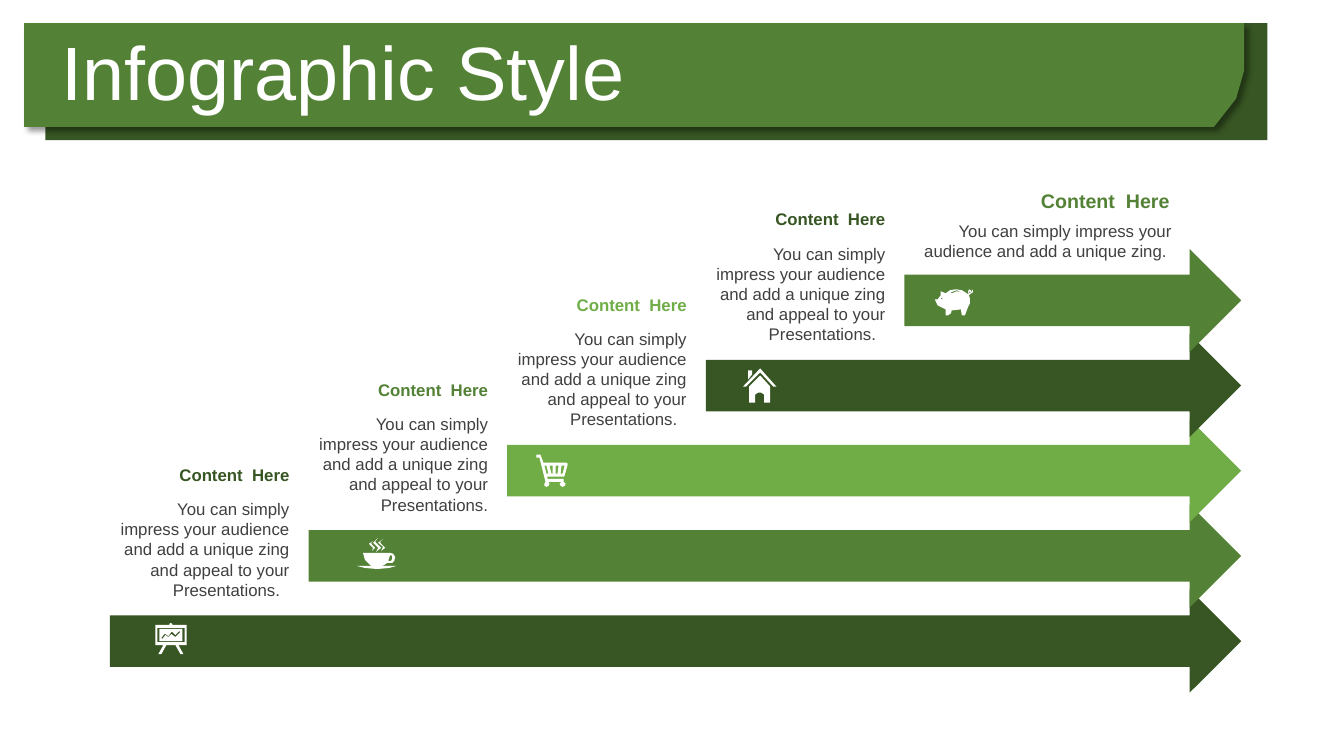
from lxml import etree
from pptx import Presentation
from pptx.dml.color import RGBColor
from pptx.enum.shapes import MSO_SHAPE
from pptx.enum.text import MSO_ANCHOR, MSO_AUTO_SIZE, PP_ALIGN
from pptx.oxml import parse_xml
from pptx.oxml.ns import nsdecls
from pptx.util import Inches, Pt

RECTANGLE, RIGHT_ARROW = MSO_SHAPE.RECTANGLE, MSO_SHAPE.RIGHT_ARROW
LEFT, RIGHT, MIDDLE = PP_ALIGN.LEFT, PP_ALIGN.RIGHT, MSO_ANCHOR.MIDDLE
NO_FIT, GROW = MSO_AUTO_SIZE.NONE, MSO_AUTO_SIZE.SHAPE_TO_FIT_TEXT

DARK = RGBColor(0x37, 0x56, 0x23)
MID = RGBColor(0x53, 0x81, 0x35)
LIGHT = RGBColor(0x70, 0xAD, 0x47)
GREY = RGBColor(0x40, 0x40, 0x40)
WHITE = RGBColor(0xFF, 0xFF, 0xFF)

# Staircase grid, in inches: each arrow starts one column right, one row up
FIRST_X, FIRST_Y = 1.09, 5.85
COLUMN, ROW = 1.97, 0.845
ARROW_TIP, ARROW_HEIGHT = 12.31, 1.02

HEADING = "Content  Here"
LONG_TEXT = ("You can simply impress your audience and add a unique zing "
             "and appeal to your Presentations.")
SHORT_TEXT = "You can simply impress your audience and add a unique zing. "

# Icon outlines, in hundredths of an inch from the icon's top left corner
BOARD = [
    [(24, 8), (20, 12), (17, 9), (16, 9), (13, 13), (10, 11), (9, 11), (6, 15),
     (7, 16), (10, 12), (13, 14), (16, 11), (20, 14), (25, 9)],
    [(4, 6), (27, 6), (27, 18), (4, 18)],
    [(2, 5), (2, 19), (29, 19), (29, 5)],
    [(15, 0), (17, 1), (17, 2), (31, 2), (31, 22), (23, 22), (28, 31), (25, 31),
     (20, 22), (11, 22), (6, 31), (3, 31), (8, 22), (0, 22), (0, 2), (14, 2),
     (14, 1)],
]
CUP = [
    [(33, 17), (31, 23), (34, 23), (35, 20), (35, 18)],
    [(33, 15), (36, 16), (38, 19), (37, 23), (35, 25), (30, 25), (27, 27),
     (24, 28), (39, 28), (32, 30), (20, 31), (8, 30), (0, 28), (15, 28),
     (13, 27), (8, 22), (6, 15)],
    [(16, 3), (14, 5), (15, 7), (18, 10), (15, 13), (16, 10), (12, 6)],
    [(26, 1), (23, 4), (24, 6), (28, 10), (24, 13), (26, 9), (21, 5)],
    [(21, 0), (18, 4), (20, 6), (24, 10), (19, 14), (21, 10), (16, 5)],
]
CART = [
    [(25, 11), (24, 19), (26, 19), (28, 11)],
    [(19, 11), (19, 19), (21, 19), (22, 11)],
    [(13, 11), (15, 19), (16, 19), (16, 11)],
    [(8, 11), (10, 19), (12, 19), (10, 11)],
    [(4, 0), (7, 8), (30, 8), (31, 9), (31, 10), (28, 21), (27, 22), (11, 22),
     (11, 24), (27, 24), (27, 27), (29, 29), (28, 31), (26, 32), (24, 31),
     (23, 29), (25, 27), (12, 27), (13, 29), (12, 31), (10, 32), (8, 31),
     (8, 29), (9, 27), (3, 3), (0, 3), (0, 0)],
]
HOUSE = [
    [(17, 7), (27, 18), (27, 34), (21, 34), (21, 26), (18, 24), (15, 24),
     (12, 26), (12, 34), (6, 34), (6, 18)],
    [(5, 2), (9, 2), (9, 6), (5, 11)],
    [(17, 0), (33, 18), (30, 18), (17, 4), (3, 18), (0, 18)],
]
PIG = [
    [(7, 8), (6, 9), (7, 10), (8, 9)],
    [(35, 2), (34, 3), (35, 4), (36, 3)],
    [(22, 1), (16, 3), (17, 4), (22, 2), (27, 3)],
    [(21, 0), (27, 1), (32, 4), (33, 5), (34, 4), (33, 3), (34, 0), (36, 1),
     (36, 3), (38, 0), (38, 3), (35, 5), (34, 6), (35, 9), (35, 14), (33, 18),
     (30, 26), (27, 26), (26, 20), (17, 21), (16, 24), (13, 26), (11, 26),
     (11, 20), (3, 16), (0, 10), (3, 10), (6, 6), (6, 2), (11, 4), (15, 1)],
]

# Colour, text, icon and the icon's offset from its arrow, from the bottom up
STEPS = [
    (DARK, LONG_TEXT + "  ", BOARD, (0.45, 0.33)),
    (MID, LONG_TEXT, CUP, (0.48, 0.33)),
    (LIGHT, LONG_TEXT + "  ", CART, (0.29, 0.35)),
    (DARK, LONG_TEXT + "  ", HOUSE, (0.37, 0.34)),
    (MID, SHORT_TEXT, PIG, (0.3, 0.4)),
]
# Heading and text boxes relative to the arrow's top left corner
STEP_BOXES = (-0.01, -1.29, 1.89, 0.3), (-0.01, -0.95, 1.89, 1.11)
TOP_BOXES = (-0.09, -0.64, 2.82, 0.34), (-0.03, -0.33, 2.78, 0.5)


def paint(shape, color):
    shape.shadow.inherit = False
    shape.fill.solid()
    shape.fill.fore_color.rgb = color
    shape.line.fill.background()


def format_text(frame, text, color, align, **font_values):
    frame.word_wrap = True
    paragraph = frame.paragraphs[0]
    paragraph.text = text
    paragraph.alignment = align
    font = paragraph.runs[0].font
    for name, value in {"name": "Arial", **font_values}.items():
        setattr(font, name, value)
    font.color.rgb = color
    return paragraph


def add_preset(slide, kind, box, color):
    shape = slide.shapes.add_shape(kind, *map(Inches, box))
    paint(shape, color)


def add_outlines(slide, x, y, outlines, color):
    """Fill closed outlines, given in hundredths of an inch from (x, y)."""
    builder = slide.shapes.build_freeform(*outlines[0][0], scale=Inches(0.01))
    for index, (start, *points) in enumerate(outlines):
        if index:
            builder.move_to(*start)
        builder.add_line_segments(points, close=True)
    shape = builder.convert_to_shape(Inches(x), Inches(y))
    paint(shape, color)
    return shape


def add_caption(slide, box, text, color, **font_values):
    caption = slide.shapes.add_textbox(*map(Inches, box))
    format_text(caption.text_frame, text, color, RIGHT, **font_values)
    caption.text_frame.auto_size = GROW


def add_soft_shadow(shape):
    effects = shape.element.spPr.find("{*}effectLst")
    effects.append(parse_xml(
        f'<a:outerShdw {nsdecls("a")} blurRad="{Pt(4)}" dist="{Pt(3)}" '
        'dir="2700000" algn="tl" rotWithShape="0"/>'))
    tag = effects[0].tag.replace("outerShdw", "{}")
    black = etree.SubElement(effects[0], tag.replace("{}", "srgbClr"), val="000000")
    etree.SubElement(black, tag.replace("{}", "alpha"), val="40000")


def add_banner(slide, x, y):
    add_preset(slide, RECTANGLE, (x + 0.21, y, 12.12, 1.16), DARK)
    front = [(0, 0), (1210, 0), (1210, 47), (1202, 75), (1180, 103), (0, 103)]
    add_soft_shadow(add_outlines(slide, x, y, [front], MID))
    title = slide.shapes.title
    title.left, title.top = Inches(x + 0.27), Inches(y + 0.13)
    title.width, title.height = Inches(10.98), Inches(0.79)
    frame = title.text_frame
    paragraph = format_text(frame, "Infographic Style", WHITE, LEFT, size=Pt(54))
    paragraph.line_spacing = 0.9
    frame.auto_size, frame.vertical_anchor = NO_FIT, MIDDLE
    title.element.getparent().append(title.element)  # bring in front of the banner


def add_step_captions(slide, x, y, color, text, is_top):
    boxes = TOP_BOXES if is_top else STEP_BOXES
    heading_box, text_box = [(x + dx, y + dy, w, h) for dx, dy, w, h in boxes]
    add_caption(slide, text_box, text, GREY, size=Pt(12))
    add_caption(slide, heading_box, HEADING, color,
                size=Pt(14 if is_top else 12), bold=True)


def add_staircase(slide, left, top):
    for index, (color, text, icon, (dx, dy)) in enumerate(STEPS):
        x, y = left + index * COLUMN, top - index * ROW
        add_preset(slide, RIGHT_ARROW, (x, y, ARROW_TIP - x, ARROW_HEIGHT), color)
        add_step_captions(slide, x, y, color, text, index == len(STEPS) - 1)
        add_outlines(slide, x + dx, y + dy, icon, WHITE)


def main():
    deck = Presentation()
    deck.slide_width, deck.slide_height = Inches(13.33), Inches(7.5)
    slide = deck.slides.add_slide(deck.slide_layouts[5])
    add_banner(slide, 0.24, 0.23)
    add_staircase(slide, FIRST_X, FIRST_Y)
    deck.save("out.pptx")


if __name__ == "__main__":
    main()
